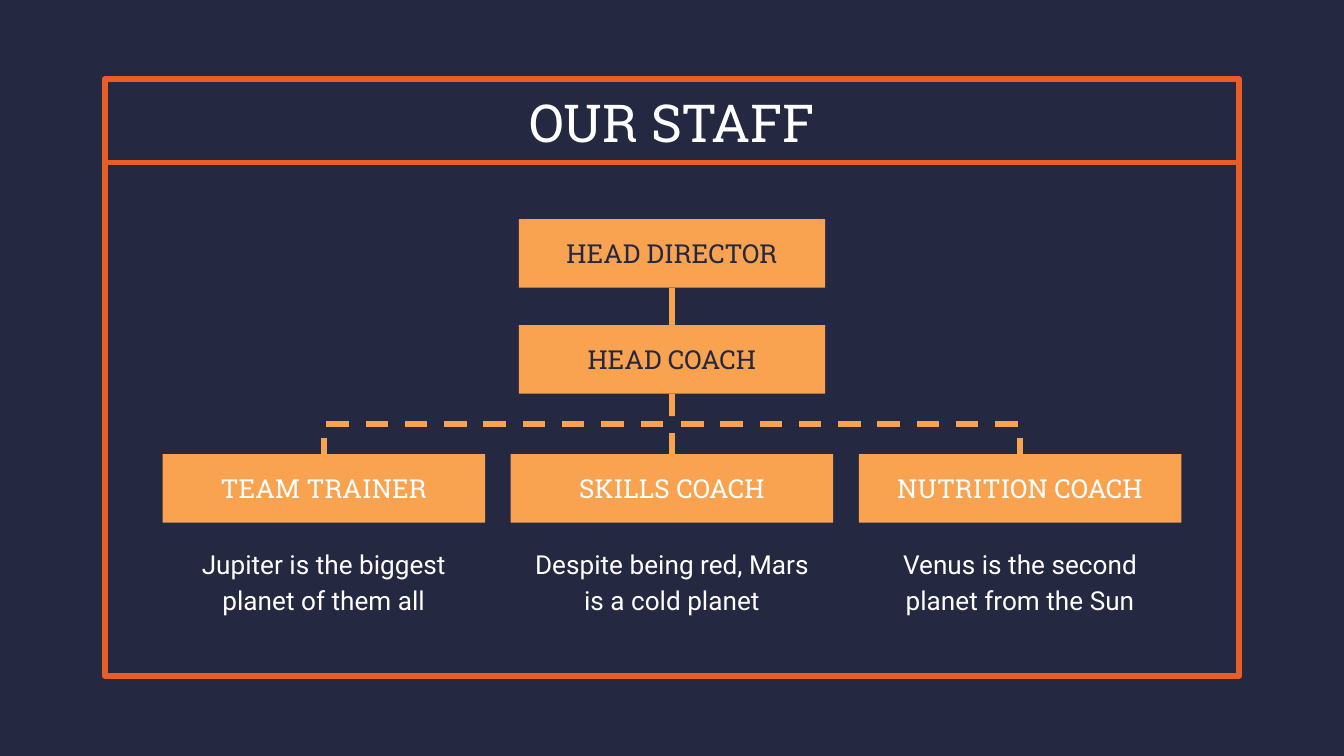
"""Build the staff organisation chart slide."""
import pptx
import pptx.dml.color
import pptx.enum.dml
import pptx.enum.shapes
import pptx.enum.text
import pptx.oxml.ns
import pptx.oxml.xmlchemy
import pptx.util

TITLE = "OUR STAFF"
LEADERS = ["HEAD DIRECTOR", "HEAD COACH"]
TEAM = [
    ("TEAM TRAINER", "Jupiter is the biggest planet of them all"),
    ("SKILLS COACH", "Despite being red, Mars is a cold planet"),
    ("NUTRITION COACH", "Venus is the second planet from the Sun"),
]
COLORS = {"navy": "242841", "frame": "E95E24", "box": "F9A350", "white": "FFFFFF"}
HEADING, BODY = "Roboto Slab", "Roboto"

W, H = 10, 10 * 9 / 16
FRAME = (0.78, 0.59, W - 2 * 0.78, 4.44)
RULE_Y, RULE_INSET = 1.21, 0.8
BOX_H, LEADER_W, LEADER_TOP, LEADER_PITCH = 0.51, 2.28, 1.63, 0.79
TEAM_W, TEAM_PITCH, TEAM_TOP = 2.4, 2.59, 3.38
NOTE_TOP, NOTE_H = 3.97, 0.69

Inches, Pt = pptx.util.Inches, pptx.util.Pt
SHAPE = pptx.enum.shapes.MSO_SHAPE
CONNECTOR = pptx.enum.shapes.MSO_CONNECTOR
new_element = pptx.oxml.xmlchemy.OxmlElement


def rgb(name):
    return pptx.dml.color.RGBColor.from_string(COLORS[name])


def write(s, text, size, font, color):
    tf = s.text_frame
    tf.word_wrap = True
    tf.vertical_anchor = pptx.enum.text.MSO_ANCHOR.MIDDLE
    tf.margin_left = tf.margin_right = tf.margin_top = tf.margin_bottom = Inches(0.1)
    p = tf.paragraphs[0]
    p.text = text
    p.alignment = pptx.enum.text.PP_ALIGN.CENTER
    p.font.size, p.font.name = Pt(size), font
    p.font.color.rgb = rgb(color)
    return p


def add_label(slide, text, x, y, w, h, size, font):
    s = slide.shapes.add_textbox(*map(Inches, (x, y, w, h)))
    return write(s, text, size, font, "white")


def add_box(slide, text, x, y, w, color):
    s = slide.shapes.add_shape(SHAPE.RECTANGLE, *map(Inches, (x, y, w, BOX_H)))
    s.shadow.inherit = False
    s.fill.solid()
    s.fill.fore_color.rgb = rgb("box")
    s.line.fill.background()
    write(s, text, 14, HEADING, color)
    return s


def style_line(s, color, dashed=False):
    s.line.width = Pt(3)
    s.line.color.rgb = rgb(color)
    if dashed:
        s.line.dash_style = pptx.enum.dml.MSO_LINE.DASH


def add_line(slide, kind, color, ends=(0, 0, 0, 0), dashed=False):
    s = slide.shapes.add_connector(kind, *map(Inches, ends))
    style_line(s, color, dashed)
    s._element.spPr.append(new_element("a:effectLst"))
    return s


def join(slide, upper, lower, dashed=False):
    dx = lower.left + lower.width // 2 - upper.left - upper.width // 2
    bent = abs(dx) > Inches(0.1)
    s = add_line(slide, CONNECTOR.ELBOW if bent else CONNECTOR.STRAIGHT, "box", dashed=dashed)
    s.begin_connect(upper, 2)
    s.end_connect(lower, 0)
    if bent:
        top = upper.top + upper.height
        drop, span = lower.top - top, abs(dx)
        mid_x = upper.left + upper.width // 2 + dx // 2
        s.left, s.top = mid_x - drop // 2, top + drop // 2 - span // 2
        s.width, s.height = drop, span
        xfrm = s._element.spPr.xfrm
        xfrm.set("rot", str((90 if dx < 0 else 270) * 60000))
        xfrm.set("flipH", "0" if dx < 0 else "1")


def add_frame(slide):
    s = slide.shapes.add_shape(SHAPE.RECTANGLE, *map(Inches, FRAME))
    s.shadow.inherit = False
    s.fill.background()
    style_line(s, "frame")
    ln = s._element.spPr.find(pptx.oxml.ns.qn("a:ln"))
    ln.append(new_element("a:round"))
    add_line(slide, CONNECTOR.STRAIGHT, "frame", (RULE_INSET, RULE_Y, W - RULE_INSET, RULE_Y))
    add_label(slide, TITLE, 0.94, FRAME[1], W - 2 * 0.94, 0.63, 28, HEADING)


def main():
    prs = pptx.Presentation()
    prs.slide_width, prs.slide_height = Inches(W), Inches(H)
    slide = prs.slides.add_slide(prs.slide_layouts[6])
    slide.background.fill.solid()
    slide.background.fill.fore_color.rgb = rgb("navy")
    add_frame(slide)

    director, coach = [
        add_box(slide, text, (W - LEADER_W) / 2, LEADER_TOP + i * LEADER_PITCH, LEADER_W, "navy")
        for i, text in enumerate(LEADERS)
    ]
    join(slide, director, coach)

    for i, (role, note) in enumerate(TEAM):
        x = (W - TEAM_W) / 2 + (i - 1) * TEAM_PITCH
        join(slide, coach, add_box(slide, role, x, TEAM_TOP, TEAM_W, "white"), dashed=True)
        p = add_label(slide, note, x, NOTE_TOP, TEAM_W, NOTE_H, 14, BODY)
        p.line_spacing, p.space_after = 1.15, Pt(12)

    prs.save("out.pptx")


if __name__ == "__main__":
    main()
